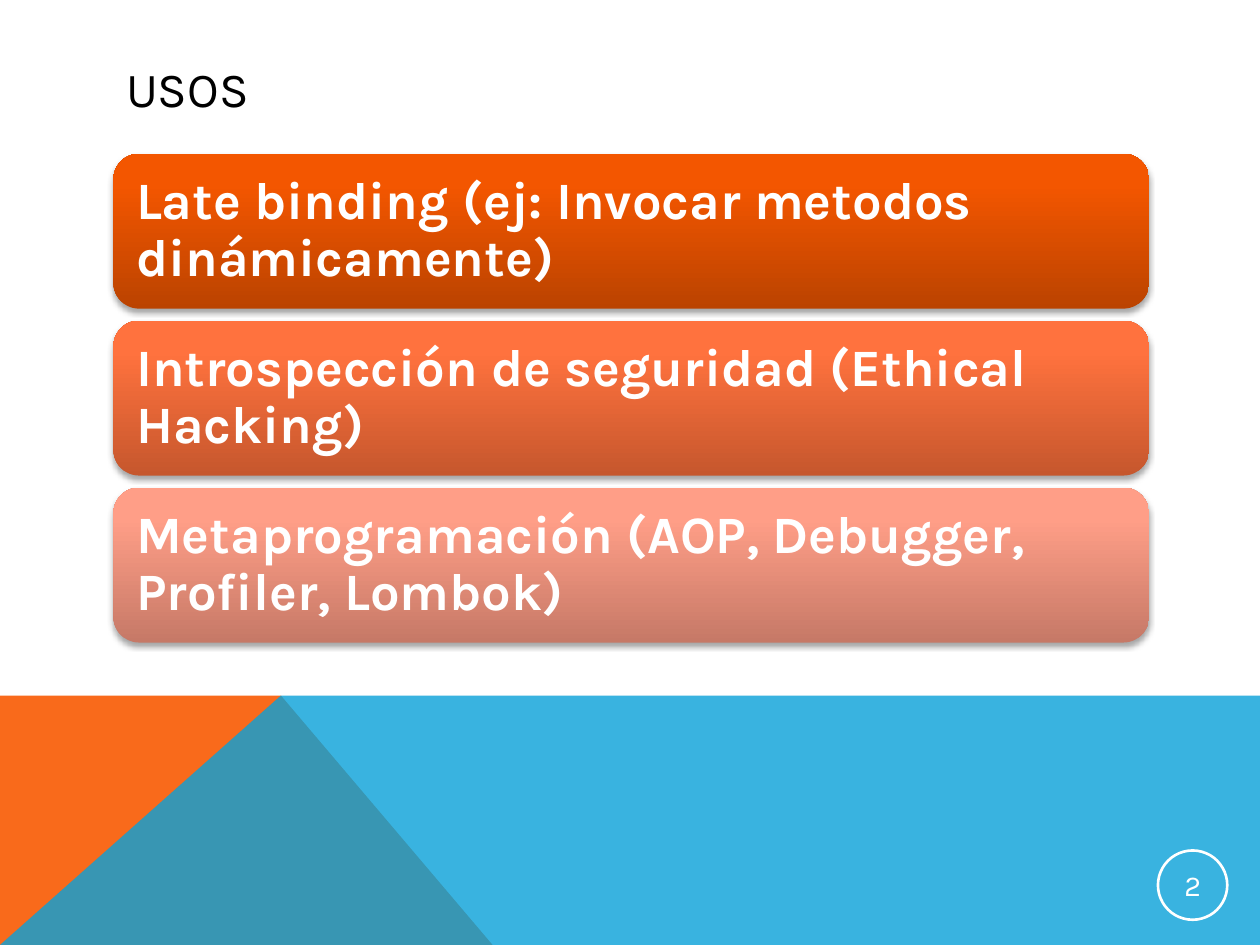
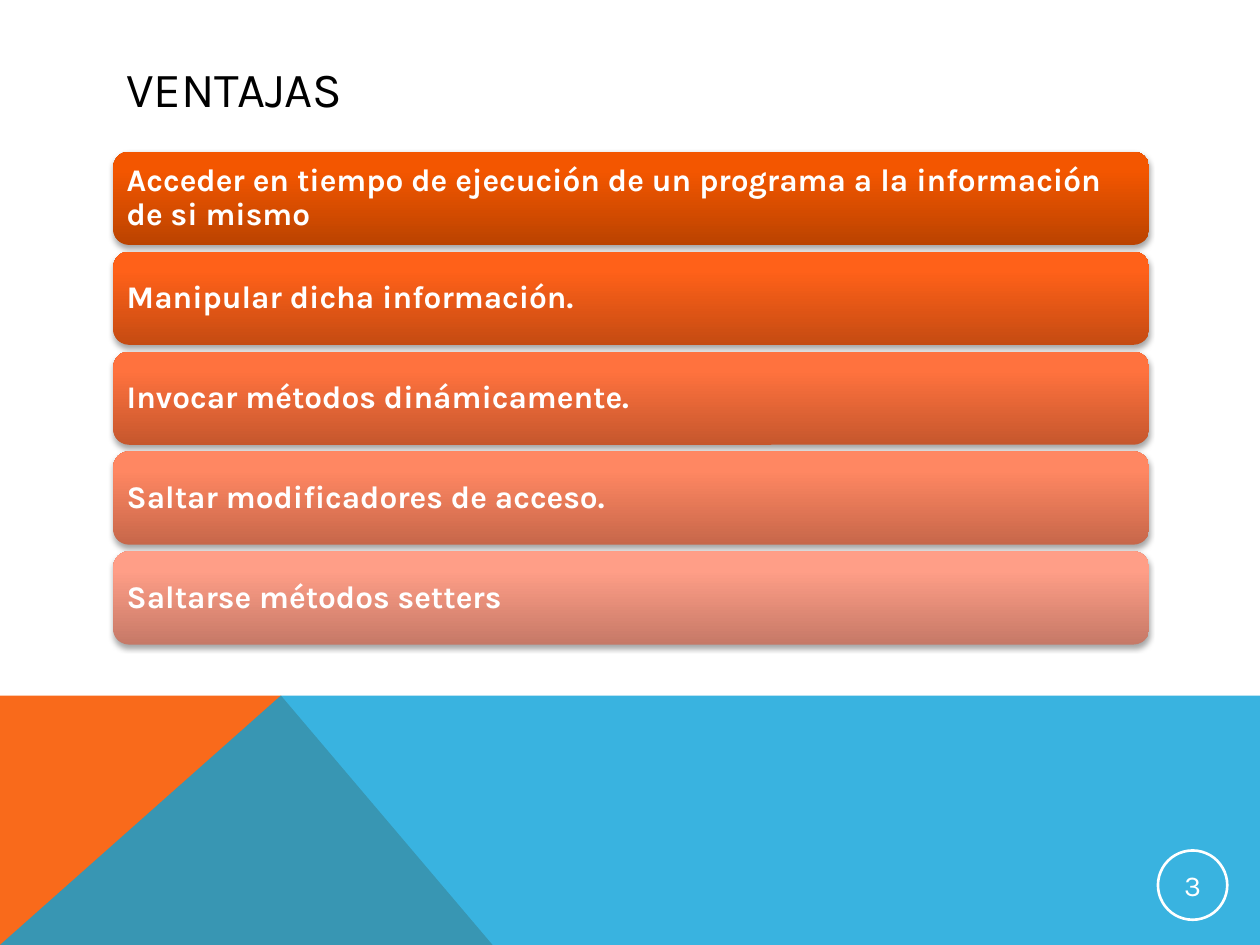
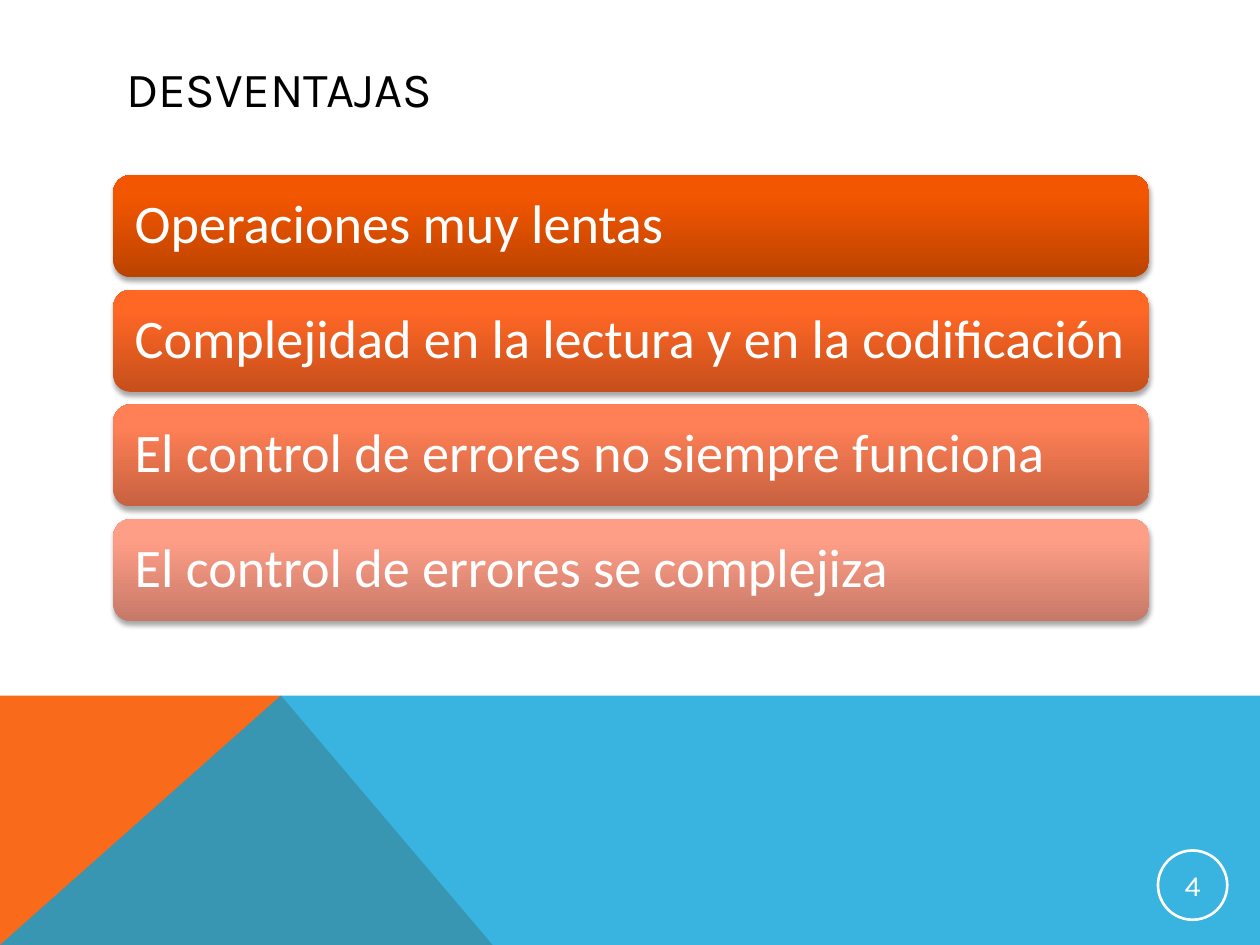
from collections import namedtuple

from pptx import Presentation
from pptx.dml.color import RGBColor
from pptx.enum.shapes import MSO_SHAPE as Preset
from pptx.enum.text import MSO_ANCHOR as Anchor, PP_ALIGN as Align
from pptx.oxml import parse_xml
from pptx.oxml.ns import nsdecls, qn
from pptx.util import Inches, Pt

Box = namedtuple("Box", "left top width height")

CELL = Inches(0.1)
COLUMNS, ROWS = 100, 75
TITLE_BOX = Box(9, 4, 82.2, 6)
LIST_BOX = Box(9, 11.6, 82.2, 40)
BAND_BOX = Box(0, 55.2, COLUMNS, 19.8)
NUMBER_BOX = Box(91.9, 67.5, 5.5, 5.5)
PEAK, FOOT = 22.3, 39.1

COLOURS = {"text": "000000", "light": "FFFFFF", "orange": "F96A1B", "blue": "08A1D9"}
TINTS = {
    "deep": ("BB4300", "F35600", "F45700"),
    "strong": ("C54B12", "FF6119", "FF621A"),
    "bright": ("C64F1B", "FF6725", "FF6826"),
    "medium": ("C6572D", "FF723E", "FF743F"),
    "soft": ("C76140", "FF8056", "FF8158"),
    "light": ("C7674A", "FF8762", "FF8864"),
    "pale": ("C67967", "FF9E87", "FFA089"),
}
STOPS = (0, 80, 100)

SLIDES = [
    {
        "title": "USOS",
        "bars": [
            ("deep", "Late binding (ej: Invocar metodos dinámicamente)"),
            ("medium", "Introspección de seguridad (Ethical Hacking)"),
            ("pale", "Metaprogramación (AOP, Debugger, Profiler, Lombok)"),
        ],
        "layout": {"height": 12.3, "gap": 0.95, "inset": 1.2},
        "style": {"size": 30, "bold": True},
    },
    {
        "title": "VENTAJAS",
        "bars": [
            ("deep", "Acceder en tiempo de ejecución de un programa a la información de si mismo"),
            ("strong", "Manipular dicha información."),
            ("medium", "Invocar métodos dinámicamente."),
            ("light", "Saltar modificadores de acceso."),
            ("pale", "Saltarse métodos setters"),
        ],
        "layout": {"height": 7.4, "gap": 0.53, "inset": 0.7},
        "style": {"size": 18, "bold": True},
    },
    {
        "title": "DESVENTAJAS",
        "bars": [
            ("deep", "Operaciones muy lentas"),
            ("bright", "Complejidad en la lectura y en la codificación"),
            ("soft", "El control de errores no siempre funciona"),
            ("pale", "El control de errores se complejiza"),
        ],
        "layout": {"height": 8.1, "gap": 1, "inset": 1.3},
        "style": {"size": 31, "font": "Calibri"},
    },
]


def cells(*counts):
    """Turn counts of grid cells into lengths."""
    return [int(count * CELL) for count in counts]


def write(shape, text, size, font="Karla", colour="light", bold=False,
          align=Align.LEFT, inset=None, spacing=None, after=None):
    """Fill a shape with one formatted paragraph, centred vertically."""
    frame = shape.text_frame
    frame.word_wrap = True
    frame.vertical_anchor = Anchor.MIDDLE
    if inset is not None:
        frame.margin_left, frame.margin_top, frame.margin_right, frame.margin_bottom = cells(*[inset] * 4)
    para = frame.paragraphs[0]
    para.alignment = align
    para.line_spacing = spacing
    para.space_after = after
    span = para.add_run()
    span.text = text
    span.font.name = font
    span.font.size = Pt(size)
    span.font.bold = bold
    span.font.color.rgb = RGBColor.from_string(COLOURS[colour])


def add_outline(page, points, colour):
    """Draw a filled outline through points on the grid."""
    corners = [cells(*point) for point in points]
    builder = page.shapes.build_freeform(*corners[0])
    builder.add_line_segments(corners[1:], close=True)
    shape = builder.convert_to_shape()
    shape.shadow.inherit = False
    shape.fill.solid()
    shape.fill.fore_color.rgb = RGBColor.from_string(COLOURS[colour])
    shape.line.fill.background()
    return shape


def add_bands(page, box):
    """Draw the two bottom bands and move them to the layout all pages share."""
    top, bottom, right = box.top, box.top + box.height, box.left + box.width
    peak, foot = box.left + PEAK, box.left + FOOT
    wedge = add_outline(
        page, [(box.left, bottom), (box.left, top), (peak, top), (foot, bottom)], "orange")
    sweep = add_outline(
        page, [(box.left, bottom), (peak, top), (right, top), (right, bottom)], "blue")
    tint = next(sweep.element.iter(qn("a:srgbClr")))
    tint.append(parse_xml(f'<a:alpha {nsdecls("a")} val="80000"/>'))
    for number, band in enumerate((wedge, sweep), start=101):
        next(band.element.iter(qn("p:cNvPr"))).set("id", str(number))
        page.slide_layout.shapes.element.append(band.element)


def add_title(page, box, text):
    """Place and format the title placeholder."""
    title = page.shapes.title
    title.left, title.top, title.width, title.height = cells(*box)
    write(title, text, 28, colour="text")


def add_number(page, box, number):
    """Draw the ringed page number."""
    ring = page.shapes.add_shape(Preset.OVAL, *cells(*box))
    ring.shadow.inherit = False
    ring.fill.background()
    ring.line.color.rgb = RGBColor.from_string(COLOURS["light"])
    ring.line.width = Pt(1.5)
    write(ring, str(number), 16.5, align=Align.CENTER, inset=0.1, after=Pt(6))


def shade(shape, tints):
    """Give a shape an upward gradient and a soft shadow below."""
    stops = "".join(
        f'<a:gs pos="{stop * 1000}"><a:srgbClr val="{tint}"/></a:gs>'
        for stop, tint in zip(STOPS, tints))
    properties = shape.element.spPr
    properties.append(parse_xml(
        f'<a:gradFill {nsdecls("a")} rotWithShape="1"><a:gsLst>{stops}</a:gsLst>'
        '<a:lin ang="16200000" scaled="0"/></a:gradFill>'))
    shape.line.fill.background()
    properties.append(parse_xml(
        f'<a:effectLst {nsdecls("a")}><a:outerShdw blurRad="{Pt(3.1)}" dist="{Pt(1.8)}" '
        'dir="5400000" rotWithShape="0"><a:srgbClr val="000000"><a:alpha val="35000"/>'
        '</a:srgbClr></a:outerShdw></a:effectLst>'))


def add_bars(page, box, bars, height, gap, inset, style):
    """Stack equal bars, centred vertically in the box."""
    stack = len(bars) * (height + gap) - gap
    start = box.top + (box.height - stack) / 2
    for row, (tint, text) in enumerate(bars):
        place = Box(box.left, start + row * (height + gap), box.width, height)
        bar = page.shapes.add_shape(Preset.ROUNDED_RECTANGLE, *cells(*place))
        shade(bar, TINTS[tint])
        write(bar, text, inset=inset, spacing=0.9, **style)


def main():
    """Build the deck and save it."""
    deck = Presentation()
    deck.slide_width, deck.slide_height = cells(COLUMNS, ROWS)
    title_only = deck.slide_layouts[5]
    for number, content in enumerate(SLIDES, start=2):
        page = deck.slides.add_slide(title_only)
        if number == 2:
            add_bands(page, BAND_BOX)
        add_title(page, TITLE_BOX, content["title"])
        add_number(page, NUMBER_BOX, number)
        add_bars(page, LIST_BOX, content["bars"], style=content["style"], **content["layout"])
    deck.save("out.pptx")


if __name__ == "__main__":
    main()
